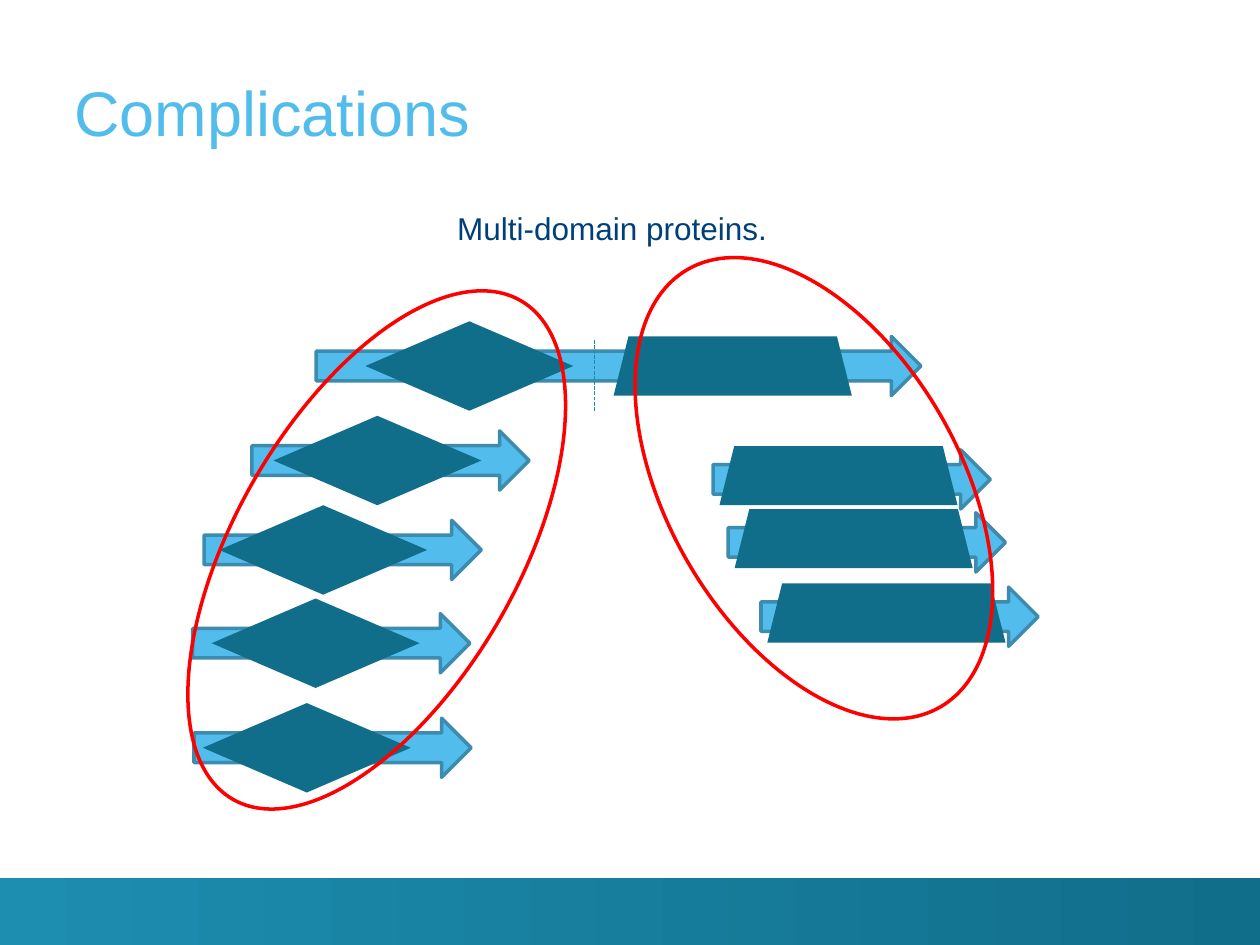
from lxml import etree
from pptx import Presentation
from pptx import util as u
from pptx.dml.color import RGBColor
from pptx.enum import dml, shapes, text
from pptx.oxml import ns

SKY, EDGE, TEAL, NAVY, RED = "52BDEC", "3D8CAF", "116E8A", "00407A", "FF0000"
KIND = shapes.MSO_SHAPE
ARROW_HEIGHT = 0.47
DOMAIN_SIZES = {KIND.DIAMOND: (1.65, 0.71), KIND.TRAPEZOID: (1.89, 0.47)}


def color(value):
    """Turn a hex string into a colour."""
    return RGBColor.from_string(value)


def lengths(box):
    """Turn a box of numbers into lengths."""
    return [u.Inches(value) for value in box]


def write(frame, wording, size=18, fill=NAVY, font="Arial", align=text.PP_ALIGN.LEFT):
    """Write one formatted paragraph into a text frame."""
    para = frame.paragraphs[0]
    para.alignment = align
    span = para.add_run()
    span.text = wording
    span.font.name = font
    span.font.size = u.Pt(size)
    span.font.color.rgb = color(fill)


def add_shape(page, kind, box, fill=None, line=None, rotation=0):
    """Add a preset shape with an optional fill and outline."""
    shape = page.shapes.add_shape(kind, *lengths(box))
    shape.shadow.inherit = False
    shape.rotation = rotation
    if fill:
        shape.fill.solid()
        shape.fill.fore_color.rgb = color(fill)
    else:
        shape.fill.background()
    if line:
        shape.line.color.rgb = color(line)
        shape.line.width = u.Pt(2)
    else:
        shape.line.fill.background()
    return shape


def add_footer(page, box):
    """Add the gradient band at the foot of the page."""
    band = add_shape(page, KIND.RECTANGLE, box, fill=TEAL)
    band.fill.gradient()
    band.fill.gradient_angle = 0
    for stop, value in zip(band.fill.gradient_stops, ("1D8DB0", TEAL)):
        stop.color.rgb = color(value)


def add_title(page, box, wording):
    """Place and format the title placeholder."""
    title = page.shapes.title
    title.left, title.top, title.width, title.height = lengths(box)
    frame = title.text_frame
    frame.margin_left = frame.margin_top = frame.margin_right = frame.margin_bottom = 0
    frame.vertical_anchor = text.MSO_ANCHOR.BOTTOM
    write(frame, wording, size=36, fill=SKY)


def add_caption(page, box, wording):
    """Add the line of text above the proteins."""
    frame = page.shapes.add_textbox(*lengths(box)).text_frame
    frame.word_wrap = False
    frame.auto_size = text.MSO_AUTO_SIZE.SHAPE_TO_FIT_TEXT
    write(frame, wording)


def add_protein(page, left, top, width, domains):
    """Add a protein arrow carrying domains given as kind, offset and drop."""
    add_shape(page, KIND.RIGHT_ARROW, (left, top, width, ARROW_HEIGHT), SKY, EDGE)
    for kind, offset, drop in domains:
        add_shape(page, kind, (left + offset, top + drop, *DOMAIN_SIZES[kind]), TEAL)


def add_family(page, box, rotation, kind, drop, members):
    """Add single-domain proteins and the ellipse grouping them."""
    for left, top, offset in members:
        add_protein(page, left, top, 2.2, [(kind, offset, drop)])
    add_shape(page, KIND.OVAL, box, line=RED, rotation=rotation)


def add_boundary(page, x, top, bottom):
    """Add the dashed boundary between the two domains."""
    line = page.shapes.add_connector(
        shapes.MSO_CONNECTOR.STRAIGHT, *lengths((x, bottom, x, top)))
    line.line.color.rgb = color("198CB0")
    line.line.width = u.Pt(0.75)
    line.line.dash_style = dml.MSO_LINE.SQUARE_DOT
    etree.SubElement(line._element.spPr, ns.qn("a:effectLst"))


def main():
    """Build and save the deck."""
    deck = Presentation()
    deck.slide_width, deck.slide_height = lengths((10, 7.5))
    page = deck.slides.add_slide(deck.slide_layouts[5])
    add_footer(page, (0, 6.97, 10, 0.53))
    add_title(page, (0.59, 0.2, 9.11, 0.98), "Complications")
    add_caption(page, (3.53, 1.61, 2.68, 0.4), "Multi-domain proteins.")
    add_protein(page, 2.51, 2.67, 4.8,
                [(KIND.TRAPEZOID, 2.36, 0), (KIND.DIAMOND, 0.39, -0.12)])
    add_family(page, (1.87, 2.08, 2.24, 4.57), 30, KIND.DIAMOND, -0.12,
               [(2, 3.42, 0.17), (1.62, 4.13, 0.12), (1.53, 4.87, 0.15), (1.54, 5.7, 0.07)])
    add_family(page, (5.3, 1.87, 2.32, 4.01), 330, KIND.TRAPEZOID, -0.03,
               [(5.66, 3.57, 0.05), (5.78, 4.07, 0.05), (6.04, 4.66, 0.05)])
    add_boundary(page, 4.72, 2.69, 3.26)
    deck.save("out.pptx")


if __name__ == "__main__":
    main()
